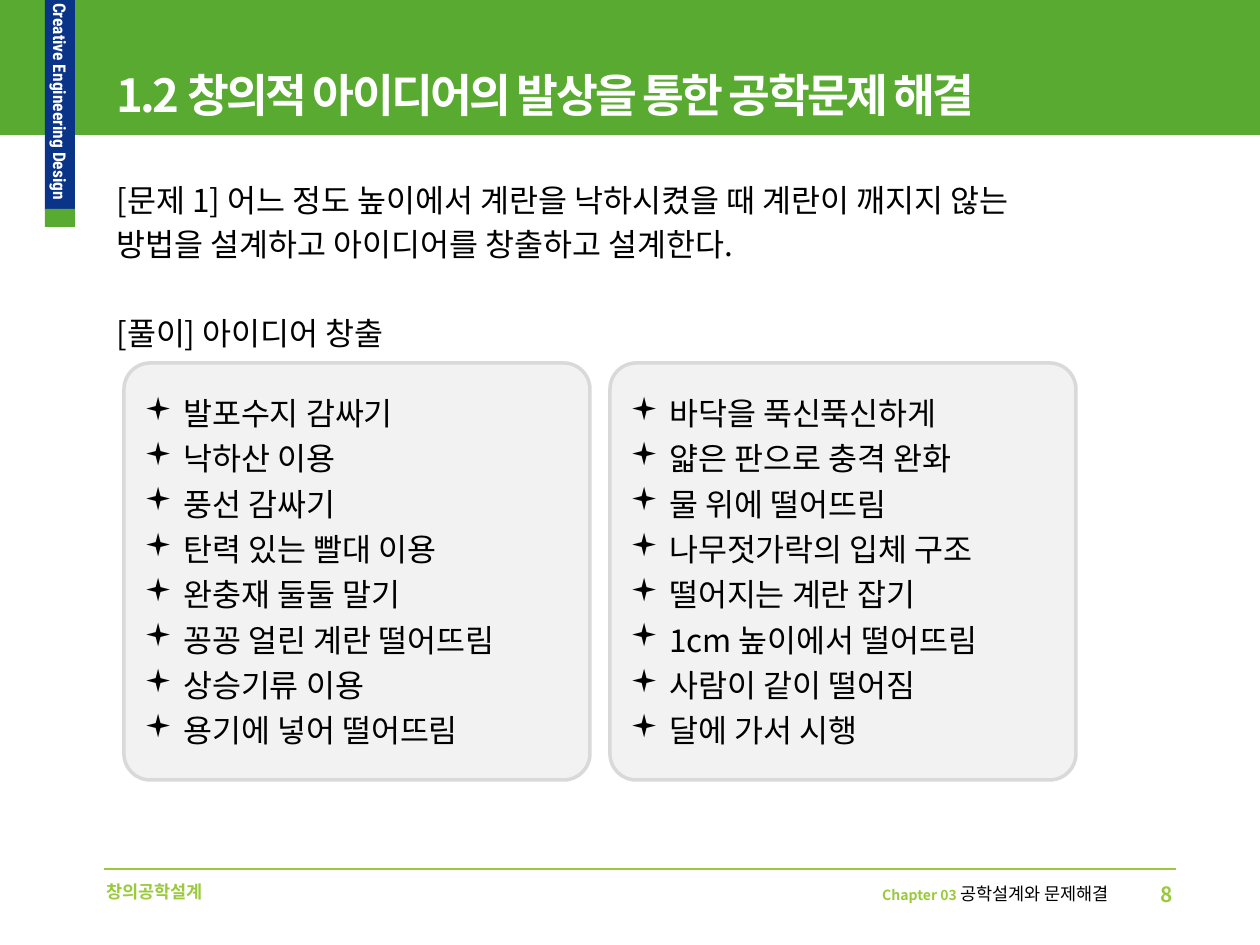
from dataclasses import dataclass
from pptx import Presentation
from pptx.dml.color import RGBColor
from pptx.enum.shapes import MSO_CONNECTOR as CONN, MSO_SHAPE as SHAPE
from pptx.enum.text import MSO_ANCHOR as ANCHOR, PP_ALIGN as ALIGN
from pptx.oxml.ns import qn
from pptx.util import Emu, Pt
from lxml.etree import SubElement

SCALE = 914400 / 126
FONT = "Noto Sans CJK KR"
COLORS = {
    "green": "59AA30", "navy": "0A3488", "lime": "9ACA3C", "white": "FFFFFF",
    "black": "000000", "card": "F2F2F2", "border": "D9D9D9",
}


@dataclass(frozen=True)
class Box:
    x: int
    y: int
    w: int
    h: int


@dataclass(frozen=True)
class Run:
    text: str
    size: int
    color: str = "black"
    bold: bool = False
    font: str = FONT
    spacing: int = 0


@dataclass(frozen=True)
class Card:
    box: Box
    ideas: tuple[str, ...]


def px(n: int) -> Emu:
    return Emu(round(n * SCALE))


def rgb(name: str) -> RGBColor:
    return RGBColor.from_string(COLORS[name])


def add_box(s, box: Box, fill: str, line: str = "", shape=SHAPE.RECTANGLE):
    sp = s.shapes.add_shape(shape, px(box.x), px(box.y), px(box.w), px(box.h))
    sp.shadow.inherit = False
    sp.fill.solid()
    sp.fill.fore_color.rgb = rgb(fill)
    if line:
        sp.line.color.rgb = rgb(line)
        sp.line.width = Pt(2)
    else:
        sp.line.fill.background()
    return sp


def add_text_box(s, box: Box):
    return s.shapes.add_textbox(px(box.x), px(box.y), px(box.w), px(box.h))


def add_bullet(p, indent: int) -> None:
    pPr = p._p.get_or_add_pPr()
    pPr.set("marL", str(px(indent)))
    pPr.set("indent", str(-px(indent)))
    SubElement(pPr, qn("a:buFont")).set("typeface", "Wingdings")
    SubElement(pPr, qn("a:buChar")).set("char", "▪")


def write(sp, paragraphs: list[list[Run]], *, align=ALIGN.LEFT, anchor=ANCHOR.TOP,
          gaps: tuple[float, ...] = (), line_height: float = 0, indent: int = 0) -> None:
    tf = sp.text_frame
    tf.word_wrap = True
    tf.vertical_anchor = anchor
    for i, runs in enumerate(paragraphs):
        p = tf.paragraphs[0] if i == 0 else tf.add_paragraph()
        if indent:
            add_bullet(p, indent)
        p.alignment = align
        if line_height:
            p.line_spacing = Pt(line_height)
        if i and gaps:
            p.space_before = Pt(gaps[i - 1])
        for run in runs:
            r = p.add_run()
            r.text = run.text
            f = r.font
            f.size, f.bold, f.name = Pt(run.size), run.bold, run.font
            f.color.rgb = rgb(run.color)
            rPr = r._r.get_or_add_rPr()
            SubElement(rPr, qn("a:ea")).set("typeface", run.font)
            if run.spacing:
                rPr.set("spc", str(run.spacing))


def add_card(s, card: Card) -> None:
    sp = add_box(s, card.box, "card", "border", SHAPE.ROUNDED_RECTANGLE)
    sp.adjustments[0] = 0.063
    write(sp, [[Run(idea, 18)] for idea in card.ideas], anchor=ANCHOR.MIDDLE,
          gaps=(4.3,) * (len(card.ideas) - 1), line_height=21.6, indent=39)


def add_side_label(s) -> None:
    sp = add_box(s, Box(45, 0, 30, 210), "navy")
    tf = sp.text_frame
    tf.margin_left = tf.margin_top = tf.margin_right = 0
    tf.margin_bottom = px(10)
    tf._txBody.bodyPr.set("vert", "vert")
    write(sp, [[Run("Creative Engineering Design", 10, "white", True, "Roboto Condensed")]],
          align=ALIGN.RIGHT, anchor=ANCHOR.MIDDLE)
    add_box(s, Box(45, 209, 30, 18), "green")


def add_footer(s) -> None:
    rule = s.shapes.add_connector(CONN.STRAIGHT, px(104), px(869), px(1176), px(869))
    rule.line.color.rgb = rgb("lime")
    rule.line.width = Pt(0.75)
    SubElement(rule._element.spPr, qn("a:effectLst"))
    write(add_text_box(s, Box(555, 875, 630, 38)), [[Run("8", 12, "lime", True)]],
          align=ALIGN.RIGHT)
    write(add_text_box(s, Box(94, 875, 630, 34)), [[Run("창의공학설계", 10, "lime", True)]])
    write(add_text_box(s, Box(768, 877, 353, 34)),
          [[Run("Chapter 03 ", 8, "lime", True), Run("공학설계와 문제해결", 10)]],
          align=ALIGN.RIGHT)


CARDS = (
    Card(Box(124, 363, 466, 417), (
        "발포수지 감싸기", "낙하산 이용", "풍선 감싸기", "탄력 있는 빨대 이용",
        "완충재 둘둘 말기", "꽁꽁 얼린 계란 떨어뜨림", "상승기류 이용",
        "용기에 넣어 떨어뜨림")),
    Card(Box(610, 363, 466, 417), (
        "바닥을 푹신푹신하게", "얇은 판으로 충격 완화", "물 위에 떨어뜨림",
        "나무젓가락의 입체 구조", "떨어지는 계란 잡기", "1cm 높이에서 떨어뜨림",
        "사람이 같이 떨어짐", "달에 가서 시행")),
)
PROBLEM = (
    "[문제 1] 어느 정도 높이에서 계란을 낙하시켰을 때 계란이 깨지지 않는",
    "방법을 설계하고 아이디어를 창출하고 설계한다.",
    "[풀이] 아이디어 창출",
)


def main() -> None:
    prs = Presentation()
    prs.slide_width, prs.slide_height = px(1260), px(945)
    s = prs.slides.add_slide(prs.slide_layouts[6])
    add_box(s, Box(0, 0, 1260, 135), "green")
    add_side_label(s)
    add_footer(s)
    write(add_text_box(s, Box(104, 56, 1071, 77)),
          [[Run("1.2 창의적 아이디어의 발상을 통한 공학문제 해결", 26, "white", True,
                spacing=-150)]], anchor=ANCHOR.MIDDLE)
    write(add_text_box(s, Box(104, 175, 1071, 218)),
          [[Run(text, 18)] for text in PROBLEM], gaps=(3.6, 28.8), line_height=21.6)
    for card in CARDS:
        add_card(s, card)
    prs.save("out.pptx")


if __name__ == "__main__":
    main()
